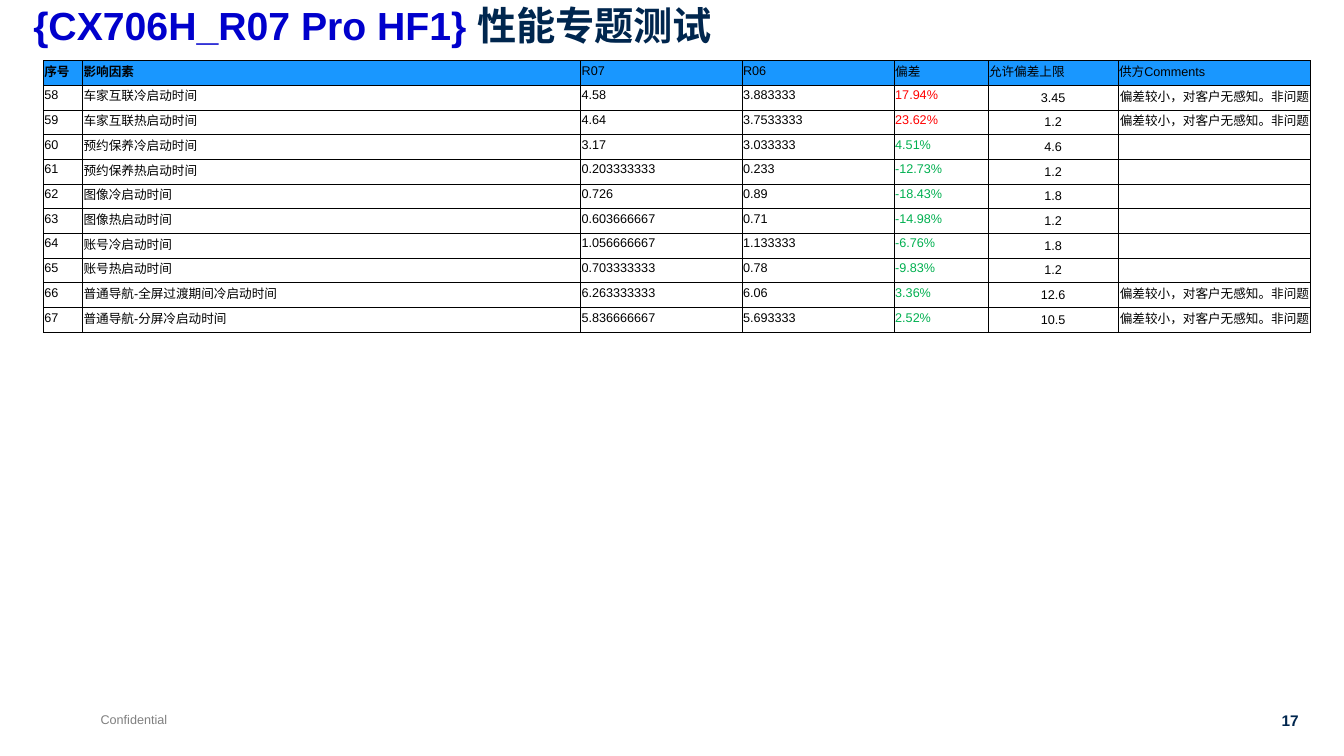
"""Build the performance test slide with its start-up time table."""
from dataclasses import dataclass
from typing import Any

from lxml.etree import SubElement
from pptx import Presentation
from pptx.dml.color import RGBColor
from pptx.enum.text import MSO_ANCHOR, PP_ALIGN
from pptx.oxml.ns import qn
from pptx.util import Inches, Pt

COLOURS = {
    "black": "000000", "header": "1997FF", "worse": "FF0000", "fine": "00B050",
    "project": "0000CC", "navy": "00264E", "grey": "808080",
}
COLUMN_WIDTHS = (0.39, 4.94, 1.6, 1.51, 0.93, 1.29, 1.91)
ROW_HEIGHT = 0.245
CELL_SIZE = 9
DEVIATION_COLUMN, LIMIT_COLUMN = 4, 5
HEADINGS = ("序号", "影响因素", "R07", "R06", "偏差", "允许偏差上限", "供方Comments")
MINOR = "偏差较小，对客户无感知。非问题"
CELL_FORMAT = {
    "margin_left": Inches(0.01), "margin_right": Inches(0.01),
    "margin_top": Inches(0.01), "margin_bottom": Inches(0.05),
}
TITLE_FORMAT = {
    "left": Inches(0.23), "top": Inches(0.07),
    "width": Inches(11.85), "height": Inches(0.63),
}
TITLE_FRAME_FORMAT = {
    "margin_left": Inches(0.1), "margin_right": Inches(0.1),
    "margin_top": 0, "margin_bottom": 0,
    "vertical_anchor": MSO_ANCHOR.TOP, "word_wrap": True,
}


@dataclass(frozen=True)
class Measurement:
    """One tested factor with its results."""
    factor: str
    r07: str
    r06: str
    deviation: str
    limit: str
    comment: str = ""
    tone: str = "fine"


@dataclass(frozen=True)
class FooterNote:
    """One short text at the foot of the slide."""
    text: str
    left: float
    width: float
    height: float
    size: int
    colour: str
    bold: bool
    align: PP_ALIGN


MEASUREMENTS = (
    Measurement("车家互联冷启动时间", "4.58", "3.883333", "17.94%", "3.45", MINOR, "worse"),
    Measurement("车家互联热启动时间", "4.64", "3.7533333", "23.62%", "1.2", MINOR, "worse"),
    Measurement("预约保养冷启动时间", "3.17", "3.033333", "4.51%", "4.6"),
    Measurement("预约保养热启动时间", "0.203333333", "0.233", "-12.73%", "1.2"),
    Measurement("图像冷启动时间", "0.726", "0.89", "-18.43%", "1.8"),
    Measurement("图像热启动时间", "0.603666667", "0.71", "-14.98%", "1.2"),
    Measurement("账号冷启动时间", "1.056666667", "1.133333", "-6.76%", "1.8"),
    Measurement("账号热启动时间", "0.703333333", "0.78", "-9.83%", "1.2"),
    Measurement("普通导航-全屏过渡期间冷启动时间", "6.263333333", "6.06", "3.36%", "12.6", MINOR),
    Measurement("普通导航-分屏冷启动时间", "5.836666667", "5.693333", "2.52%", "10.5", MINOR),
)
FIRST_NUMBER = 58
FOOTER_NOTES = (
    FooterNote("Confidential", 0.9, 0.87, 0.25, 9, "grey", False, PP_ALIGN.LEFT),
    FooterNote("17", 12.59, 0.39, 0.29, 11, "navy", True, PP_ALIGN.RIGHT),
)


def apply_format(target: Any, values: dict[str, Any]) -> None:
    """Set each named attribute on the target."""
    for attribute, value in values.items():
        setattr(target, attribute, value)


def rgb(colour: str) -> RGBColor:
    """Look up a named colour."""
    return RGBColor.from_string(COLOURS[colour])


def add_words(paragraph: Any, text: str, size: int, colour: str, bold: bool) -> None:
    """Append a formatted run to the paragraph."""
    run = paragraph.add_run()
    run.text = text
    apply_format(run.font, {"name": "Arial", "size": Pt(size), "bold": bold})
    run.font.color.rgb = rgb(colour)


def add_borders(cell: Any) -> None:
    """Draw a thin black line on every side of the cell."""
    properties = cell._tc.get_or_add_tcPr()
    for side in ("lnL", "lnR", "lnT", "lnB"):
        line = SubElement(properties, qn(f"a:{side}"), w=str(Pt(0.5)))
        fill = SubElement(line, qn("a:solidFill"))
        SubElement(fill, qn("a:srgbClr"), val=COLOURS["black"])


def fill_cell(cell: Any, text: str, colour: str, bold: bool, header: bool, centred: bool) -> None:
    """Write and format one table cell."""
    apply_format(cell, CELL_FORMAT)
    cell.vertical_anchor = MSO_ANCHOR.BOTTOM if centred else MSO_ANCHOR.MIDDLE
    add_borders(cell)
    if header:
        cell.fill.solid()
        cell.fill.fore_color.rgb = rgb("header")
    else:
        cell.fill.background()
    paragraph = cell.text_frame.paragraphs[0]
    paragraph.alignment = PP_ALIGN.CENTER if centred else PP_ALIGN.LEFT
    if text:
        add_words(paragraph, text, CELL_SIZE, colour, bold)
    else:
        SubElement(paragraph._p, qn("a:endParaRPr"), sz=str(CELL_SIZE * 100))


def add_results(slide: Any) -> None:
    """Add the table of measurements."""
    row_count = len(MEASUREMENTS) + 1
    results = slide.shapes.add_table(
        row_count, len(COLUMN_WIDTHS), Inches(0.43), Inches(0.6),
        Inches(sum(COLUMN_WIDTHS)), Inches(ROW_HEIGHT * row_count),
    ).table
    apply_format(results, {"first_row": False, "horz_banding": False})
    for column, width in zip(results.columns, COLUMN_WIDTHS):
        column.width = Inches(width)
    for row in results.rows:
        row.height = Inches(ROW_HEIGHT)
    for index, heading in enumerate(HEADINGS):
        fill_cell(results.cell(0, index), heading, "black", index < 2, True, False)
    for row_index, item in enumerate(MEASUREMENTS, 1):
        number = str(FIRST_NUMBER + row_index - 1)
        values = (number, item.factor, item.r07, item.r06,
                  item.deviation, item.limit, item.comment)
        for index, value in enumerate(values):
            colour = item.tone if index == DEVIATION_COLUMN else "black"
            fill_cell(results.cell(row_index, index), value, colour,
                      False, False, index >= LIMIT_COLUMN)


def add_title(slide: Any) -> None:
    """Place the two-coloured title."""
    title = slide.shapes.title
    apply_format(title, TITLE_FORMAT)
    apply_format(title.text_frame, TITLE_FRAME_FORMAT)
    heading = title.text_frame.paragraphs[0]
    apply_format(heading, {"alignment": PP_ALIGN.LEFT, "line_spacing": 0.9})
    add_words(heading, "{CX706H_R07 Pro HF1} ", 28, "project", True)
    add_words(heading, "性能专题测试", 28, "navy", True)


def add_footer(slide: Any, note: FooterNote) -> None:
    """Add one footer text."""
    footer = slide.shapes.add_textbox(
        Inches(note.left), Inches(7.01), Inches(note.width), Inches(note.height))
    footer.text_frame.word_wrap = False
    paragraph = footer.text_frame.paragraphs[0]
    paragraph.alignment = note.align
    add_words(paragraph, note.text, note.size, note.colour, note.bold)


def main() -> None:
    """Build and save the presentation."""
    presentation = Presentation()
    apply_format(presentation, {"slide_width": Inches(13.33), "slide_height": Inches(7.5)})
    slide = presentation.slides.add_slide(presentation.slide_layouts[5])
    for note in FOOTER_NOTES:
        add_footer(slide, note)
    add_title(slide)
    add_results(slide)
    presentation.save("out.pptx")


if __name__ == "__main__":
    main()
